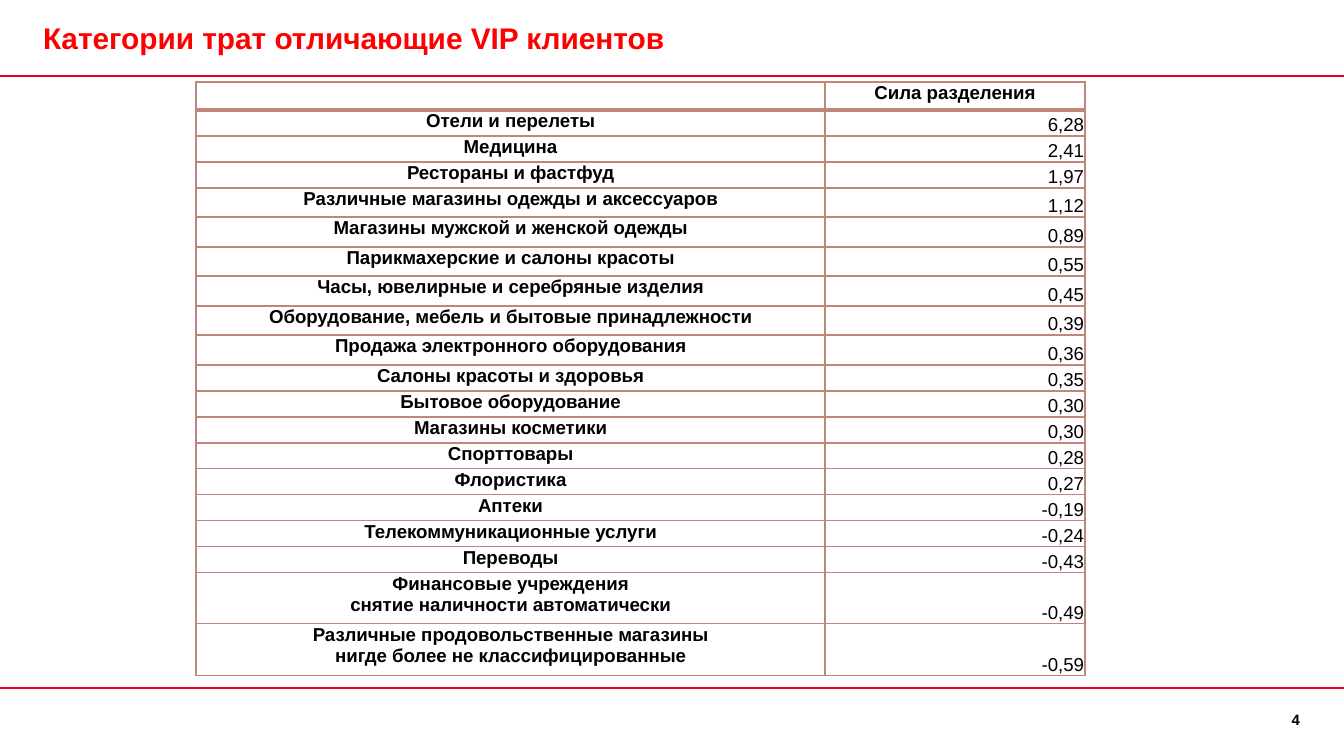
from lxml.etree import SubElement
from pptx import Presentation
from pptx.dml.color import RGBColor
from pptx.enum.shapes import MSO_CONNECTOR
from pptx.enum.text import MSO_ANCHOR, PP_ALIGN
from pptx.oxml.ns import qn
from pptx.util import Pt

PX = 914400 / 134.4
RED = RGBColor(0xFF, 0x00, 0x00)
RULE_RED = RGBColor(0xE6, 0x00, 0x28)
BORDER = RGBColor(0xBE, 0x87, 0x7A)
BLACK = RGBColor(0x00, 0x00, 0x00)

HEADER = ("", "Сила разделения")
CATEGORIES = [
    ("Отели и перелеты", "6,28"),
    ("Медицина", "2,41"),
    ("Рестораны и фастфуд", "1,97"),
    ("Различные магазины одежды и аксессуаров", "1,12"),
    ("Магазины мужской и женской одежды", "0,89"),
    ("Парикмахерские и салоны красоты", "0,55"),
    ("Часы, ювелирные и серебряные изделия", "0,45"),
    ("Оборудование, мебель и бытовые принадлежности", "0,39"),
    ("Продажа электронного оборудования", "0,36"),
    ("Салоны красоты и здоровья", "0,35"),
    ("Бытовое оборудование", "0,30"),
    ("Магазины косметики", "0,30"),
    ("Спорттовары", "0,28"),
    ("Флористика", "0,27"),
    ("Аптеки", "-0,19"),
    ("Телекоммуникационные услуги", "-0,24"),
    ("Переводы", "-0,43"),
    ("Финансовые учреждения\nснятие наличности автоматически", "-0,49"),
    ("Различные продовольственные магазины\nнигде более не классифицированные", "-0,59"),
]
COLUMN_WIDTHS = [629, 260]
ROW_HEIGHTS = [28] + [26] * 3 + [29, 30] * 3 + [26] * 8 + [51, 52]


def px(*lengths):
    return [round(length * PX) for length in lengths]


def add_text(paragraph, text, size, color=BLACK, bold=True):
    """Add one run per line of text, with line breaks between them."""
    for index, line in enumerate(text.split("\n")):
        if index:
            paragraph.add_line_break()
        run = paragraph.add_run()
        run.text = line
        run.font.name = "Arial"
        run.font.size = Pt(size)
        run.font.bold = bold
        run.font.color.rgb = color


prs = Presentation()
prs.slide_width, prs.slide_height = px(1344, 756)
slide = prs.slides.add_slide(prs.slide_layouts[5])

# Rules above and below the content
for y in (76, 688):
    rule = slide.shapes.add_connector(MSO_CONNECTOR.STRAIGHT, *px(0, y, 1344, y))
    rule.line.color.rgb = RULE_RED
    rule.line.width = Pt(1)
    SubElement(rule._element.spPr, qn("a:effectLst"))

# Title
title = slide.shapes.title
title.left, title.top, title.width, title.height = px(43, 0, 1258, 76)
title_frame = title.text_frame
title_frame.margin_left = 0
title_frame.vertical_anchor = MSO_ANCHOR.MIDDLE
title_frame.paragraphs[0].alignment = PP_ALIGN.LEFT
add_text(title_frame.paragraphs[0], "Категории трат отличающие VIP клиентов", 16, RED)

# Page number
page_frame = slide.shapes.add_textbox(*px(1247, 711, 53, 48)).text_frame
page_frame.word_wrap = True
page_frame.margin_left = page_frame.margin_right = 0
page_frame.margin_top = page_frame.margin_bottom = 0
page_frame.paragraphs[0].alignment = PP_ALIGN.RIGHT
add_text(page_frame.paragraphs[0], "4", 8)

# Table of spending categories
rows = [HEADER] + CATEGORIES
table = slide.shapes.add_table(
    len(rows), 2, *px(196, 82, sum(COLUMN_WIDTHS), sum(ROW_HEIGHTS))
).table
table.first_row = table.horz_banding = False
for column, width in zip(table.columns, px(*COLUMN_WIDTHS)):
    column.width = width
for row, height in zip(table.rows, px(*ROW_HEIGHTS)):
    row.height = height

for row_index, texts in enumerate(rows):
    for column_index, text in enumerate(texts):
        cell = table.cell(row_index, column_index)
        is_value = row_index > 0 and column_index == 1
        cell.margin_left = cell.margin_right = cell.margin_top = px(1)[0]
        cell.margin_bottom = 0
        cell.vertical_anchor = MSO_ANCHOR.BOTTOM if is_value else MSO_ANCHOR.TOP
        paragraph = cell.text_frame.paragraphs[0]
        paragraph.alignment = PP_ALIGN.RIGHT if is_value else PP_ALIGN.CENTER
        if text:
            add_text(paragraph, text, 10, bold=not is_value)
        else:
            SubElement(paragraph._p, qn("a:endParaRPr"), sz="1000")

        cell_properties = cell._tc.get_or_add_tcPr()
        for side in ("lnL", "lnR", "lnT", "lnB"):
            under_header = (row_index, side) in ((0, "lnB"), (1, "lnT"))
            border = SubElement(cell_properties, qn(f"a:{side}"),
                                w=str(Pt(2 if under_header else 1)))
            border_fill = SubElement(border, qn("a:solidFill"))
            SubElement(border_fill, qn("a:srgbClr"), val=str(BORDER))
        cell.fill.background()

prs.save("out.pptx")
